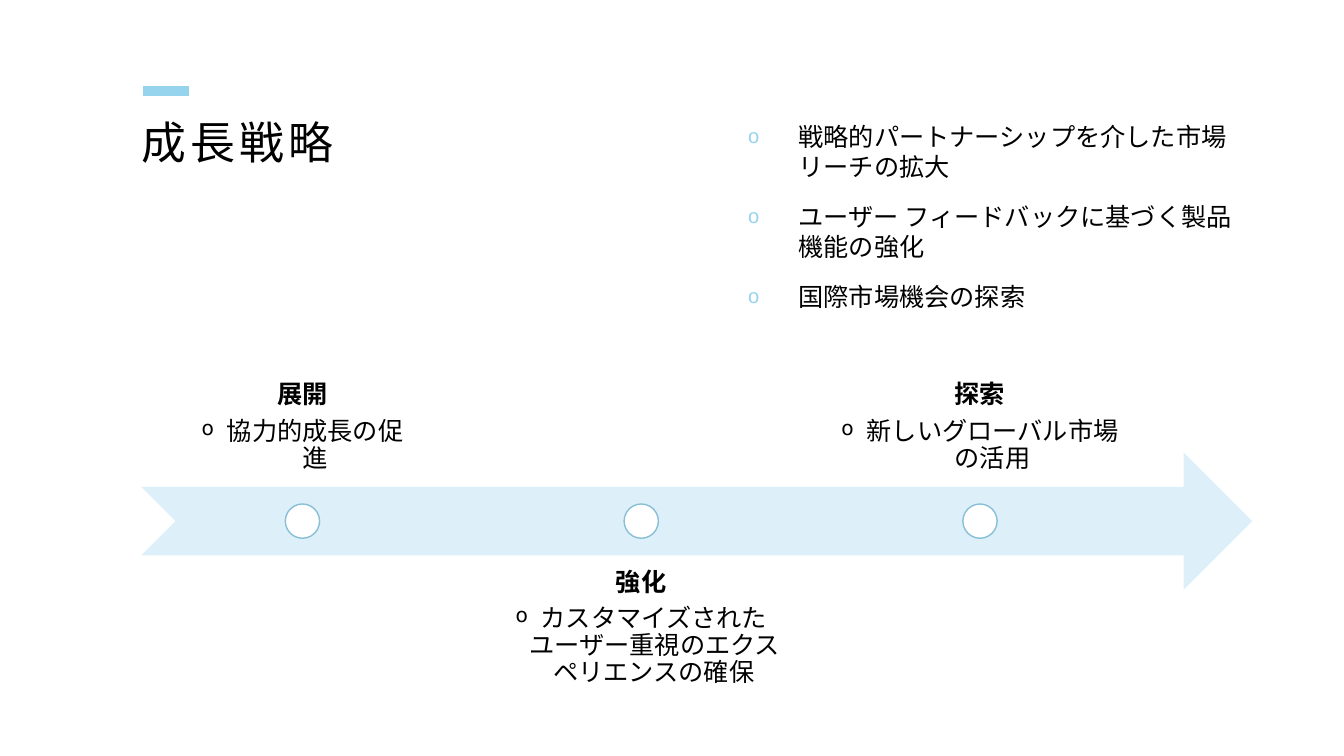
from lxml import etree
from pptx import Presentation
from pptx import util as u
from pptx.dml.color import RGBColor
from pptx.enum import shapes, text
from pptx.oxml import ns

PX = 9144
BLACK = RGBColor(0, 0, 0)
WHITE = RGBColor(255, 255, 255)
SKY = RGBColor(0x96, 0xD3, 0xED)
PALE = RGBColor(0xDD, 0xEF, 0xF8)
RIM = RGBColor(0x88, 0xBF, 0xD7)
CJK = "Noto Sans CJK JP"
NARROW = "Arial Narrow"

GOALS = [
    "戦略的パートナーシップを介した市場リーチの拡大",
    "ユーザー フィードバックに基づく製品機能の強化",
    "国際市場機会の探索",
]
MILESTONES = [
    ("展開", "協力的成長の促進", 243),
    ("強化", "カスタマイズされたユーザー重視のエクスペリエンスの確保", 320),
    ("探索", "新しいグローバル市場の活用", 320),
]


def px(*lengths):
    return [u.Emu(round(length * PX)) for length in lengths]


def add_xml(parent, tag, **attributes):
    return etree.SubElement(parent, ns.qn(tag), attributes)


def write(paragraph, words, font=CJK, size=18, bold=False, align=None,
          line=1.0, before=0, after=0, tracking=0, indent=0,
          bullet=False, bullet_color=BLACK, level=0):
    paragraph.level = level
    paragraph.alignment = align or text.PP_ALIGN.LEFT
    paragraph.line_spacing = line
    paragraph.space_before = u.Pt(before)
    paragraph.space_after = u.Pt(after)
    properties = paragraph._p.get_or_add_pPr()
    properties.set("marL", str(indent * PX))
    properties.set("indent", str(-indent * PX))
    if bullet:
        color = add_xml(properties, "a:buClr")
        add_xml(color, "a:srgbClr", val=str(bullet_color))
        add_xml(properties, "a:buSzPct", val="80000")
        add_xml(properties, "a:buChar", char="o")
    else:
        add_xml(properties, "a:buNone")
    run = paragraph.add_run()
    run.text = words
    run.font.size = u.Pt(size)
    run.font.bold = bold
    run.font.color.rgb = BLACK
    run.font.name = font
    run_properties = run._r.get_or_add_rPr()
    add_xml(run_properties, "a:ea", typeface=CJK)
    if tracking:
        run_properties.set("spc", str(tracking * 100))


def prepare(holder, box, inset=0, anchor=text.MSO_ANCHOR.TOP):
    holder.left, holder.top, holder.width, holder.height = px(*box)
    frame = holder.text_frame
    frame.word_wrap = True
    frame.auto_size = text.MSO_AUTO_SIZE.NONE
    frame.vertical_anchor = anchor
    frame.margin_left = frame.margin_right = px(inset)[0]
    frame.margin_top = frame.margin_bottom = px(inset)[0]
    return frame


def add_filled(slide, kind, box, fill, rim=None):
    shape = slide.shapes.add_shape(kind, *px(*box))
    shape.shadow.inherit = False
    shape.fill.solid()
    shape.fill.fore_color.rgb = fill
    if rim:
        shape.line.color.rgb = rim
        shape.line.width = u.Pt(1)
    else:
        shape.line.fill.background()


def add_heading(slide, left, top, width, height):
    accent = slide.shapes.add_connector(
        shapes.MSO_CONNECTOR.STRAIGHT,
        *px(left + 2, top - 30, left + 47, top - 30))
    accent.line.color.rgb = SKY
    accent.line.width = u.Pt(7)
    add_xml(accent._element.spPr, "a:effectLst")
    frame = prepare(slide.shapes.title, (left, top, width, height))
    write(frame.paragraphs[0], "成長戦略", size=32, line=0.9, tracking=3)


def add_goals(slide, *box):
    frame = prepare(slide.placeholders[1], box)
    for number, goal in enumerate(GOALS):
        paragraph = frame.add_paragraph() if number else frame.paragraphs[0]
        write(paragraph, goal, before=14, indent=50, bullet=True,
              bullet_color=SKY)


def add_milestone(slide, name, detail, box, anchor):
    frame = prepare(slide.shapes.add_textbox(*px(*box)), box, 14, anchor)
    centred = dict(font=NARROW, align=text.PP_ALIGN.CENTER, line=0.9)
    write(frame.paragraphs[0], name, bold=True, after=6.3, **centred)
    write(frame.add_paragraph(), detail, after=2.7, indent=25, bullet=True,
          level=1, **centred)


def add_timeline(slide, left, top, width, height):
    add_filled(slide, shapes.MSO_SHAPE.NOTCHED_RIGHT_ARROW,
               (left, top, width, height), PALE)
    dot = height / 4
    label_shift = height * 3 / 4
    for number, (name, detail, label_width) in enumerate(MILESTONES):
        center = left + 160 + number * 336
        above = number % 2 == 0
        label_top = top - label_shift if above else top + label_shift
        anchor = text.MSO_ANCHOR.BOTTOM if above else text.MSO_ANCHOR.TOP
        add_milestone(slide, name, detail,
                      (center - label_width / 2, label_top,
                       label_width, height), anchor)
        add_filled(slide, shapes.MSO_SHAPE.OVAL,
                   (center - dot / 2, top + (height - dot) / 2, dot, dot),
                   WHITE, RIM)


def main():
    deck = Presentation()
    deck.slide_width, deck.slide_height = px(1333, 750)
    slide = deck.slides.add_slide(deck.slide_layouts[1])
    add_heading(slide, 140, 120, 550, 200)
    add_goals(slide, 742, 120, 500, 200)
    add_timeline(slide, 140, 449, 1102, 136)
    deck.save("out.pptx")


if __name__ == "__main__":
    main()
